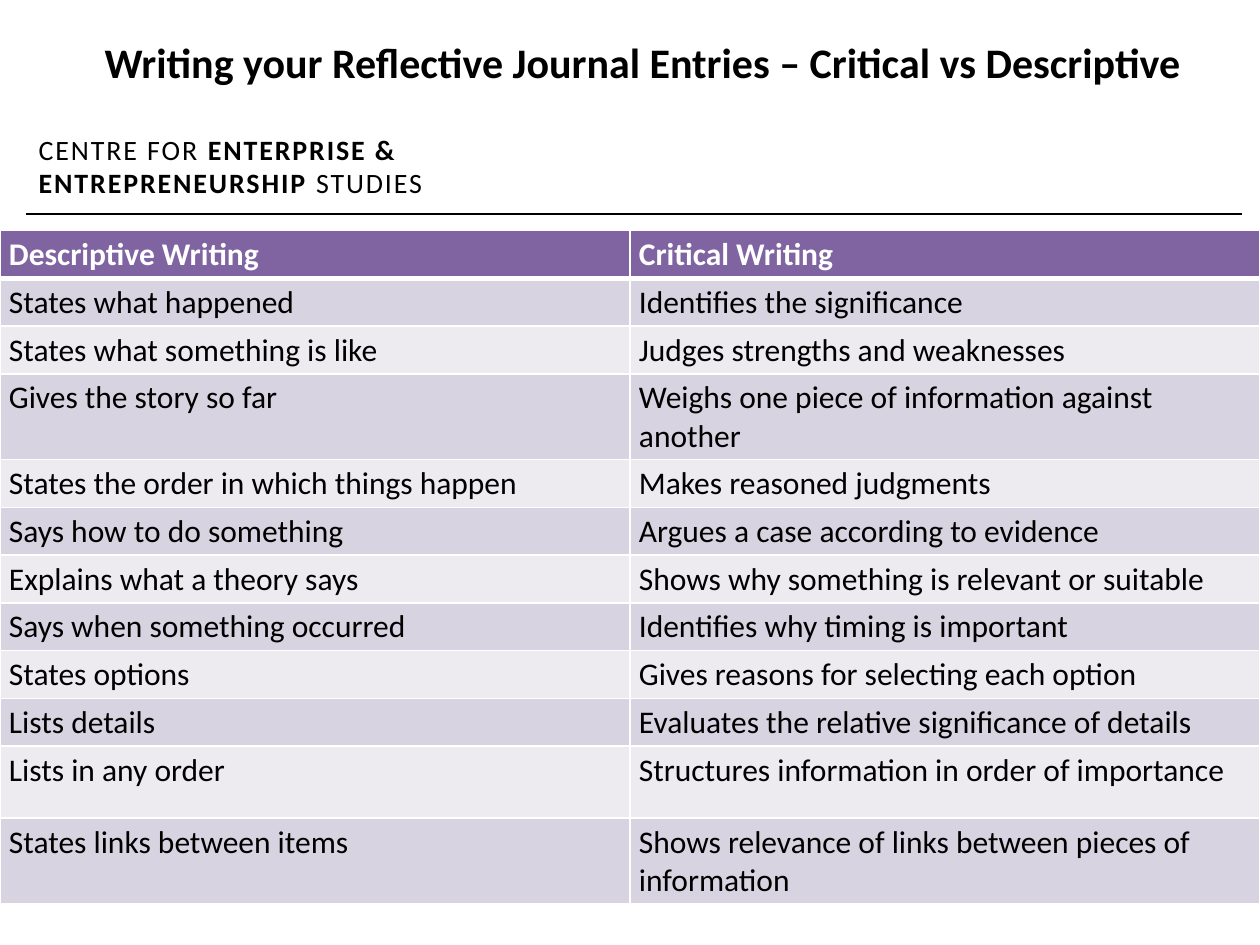
from lxml import etree
from pptx import Presentation
from pptx.dml.color import RGBColor
from pptx.enum.shapes import MSO_CONNECTOR
from pptx.enum.text import MSO_ANCHOR, PP_ALIGN
from pptx.oxml.ns import qn
from pptx.util import Cm, Pt

COLORS = {"ink": "000000", "paper": "FFFFFF", "header": "8064A2",
          "odd": "D8D3E0", "even": "EDEAF0"}
ROWS = [
    ("Descriptive Writing", "Critical Writing"),
    ("States what happened", "Identifies the significance"),
    ("States what something is like", "Judges strengths and weaknesses"),
    ("Gives the story so far", "Weighs one piece of information against another"),
    ("States the order in which things happen", "Makes reasoned judgments"),
    ("Says how to do something", "Argues a case according to evidence"),
    ("Explains what a theory says", "Shows why something is relevant or suitable"),
    ("Says when something occurred", "Identifies why timing is important"),
    ("States options", "Gives reasons for selecting each option"),
    ("Lists details", "Evaluates the relative significance of details"),
    ("Lists in any order", "Structures information in order of importance"),
    ("States links between items", "Shows relevance of links between pieces of information"),
]
TALL_ROWS = {3, 10, 11}


def style(font, size, color, bold=None):
    font.name = "Calibri"
    font.size = Pt(size)
    font.bold = bold
    font.color.rgb = RGBColor.from_string(COLORS[color])


def add_borders(cell, bottom_width):
    widths = {"a:lnL": 1, "a:lnR": 1, "a:lnT": 1, "a:lnB": bottom_width}
    for position, (tag, width) in enumerate(widths.items()):
        edge = etree.Element(qn(tag), w=str(Pt(width)))
        fill = etree.SubElement(edge, qn("a:solidFill"))
        etree.SubElement(fill, qn("a:srgbClr"), val=COLORS["paper"])
        cell._tc.get_or_add_tcPr().insert(position, edge)


deck = Presentation()
deck.slide_width, deck.slide_height = Cm(25.4), Cm(19.05)
slide = deck.slides.add_slide(deck.slide_layouts[5])

rule = slide.shapes.add_connector(MSO_CONNECTOR.STRAIGHT, Cm(25.04), Cm(4.32), Cm(0.53), Cm(4.32))
rule.line.width = Pt(1)
rule.line.color.rgb = RGBColor.from_string(COLORS["ink"])
etree.SubElement(rule._element.spPr, qn("a:effectLst"))

centre = slide.shapes.add_textbox(Cm(0.53), Cm(2.54), Cm(9.8), Cm(1.62)).text_frame
centre.word_wrap = True
for words, bold in (("CENTRE FOR ", False), ("ENTERPRISE & ENTREPRENEURSHIP ", True), ("STUDIES", False)):
    run = centre.paragraphs[0].add_run()
    run.text = words
    style(run.font, 16, "ink", bold)
    run._r.get_or_add_rPr().set("spc", "110")

comparison = slide.shapes.add_table(len(ROWS), 2, Cm(0), Cm(4.65), Cm(25.4), Cm(11.9)).table
for row_no, texts in enumerate(ROWS):
    is_header = row_no == 0
    band = "header" if is_header else "odd" if row_no % 2 else "even"
    comparison.rows[row_no].height = Cm(1.45 if row_no in TALL_ROWS else 0.84)
    for col_no, words in enumerate(texts):
        cell = comparison.cell(row_no, col_no)
        cell.text = words
        cell.margin_left = cell.margin_right = Cm(0.18)
        cell.margin_top = cell.margin_bottom = Cm(0.1)
        cell.fill.solid()
        cell.fill.fore_color.rgb = RGBColor.from_string(COLORS[band])
        style(cell.text_frame.paragraphs[0].font, 18, "paper" if is_header else "ink", is_header)
        add_borders(cell, 3 if is_header else 1)

title = slide.shapes.title
title.left, title.top, title.width, title.height = Cm(1.73), Cm(0.61), Cm(22.45), Cm(1.27)
title.text = "Writing your Reflective Journal Entries – Critical vs Descriptive"
title.text_frame.word_wrap = False
title.text_frame.vertical_anchor = MSO_ANCHOR.TOP
heading = title.text_frame.paragraphs[0]
heading.alignment = PP_ALIGN.CENTER
style(heading.font, 24, "ink", True)

deck.save("out.pptx")
